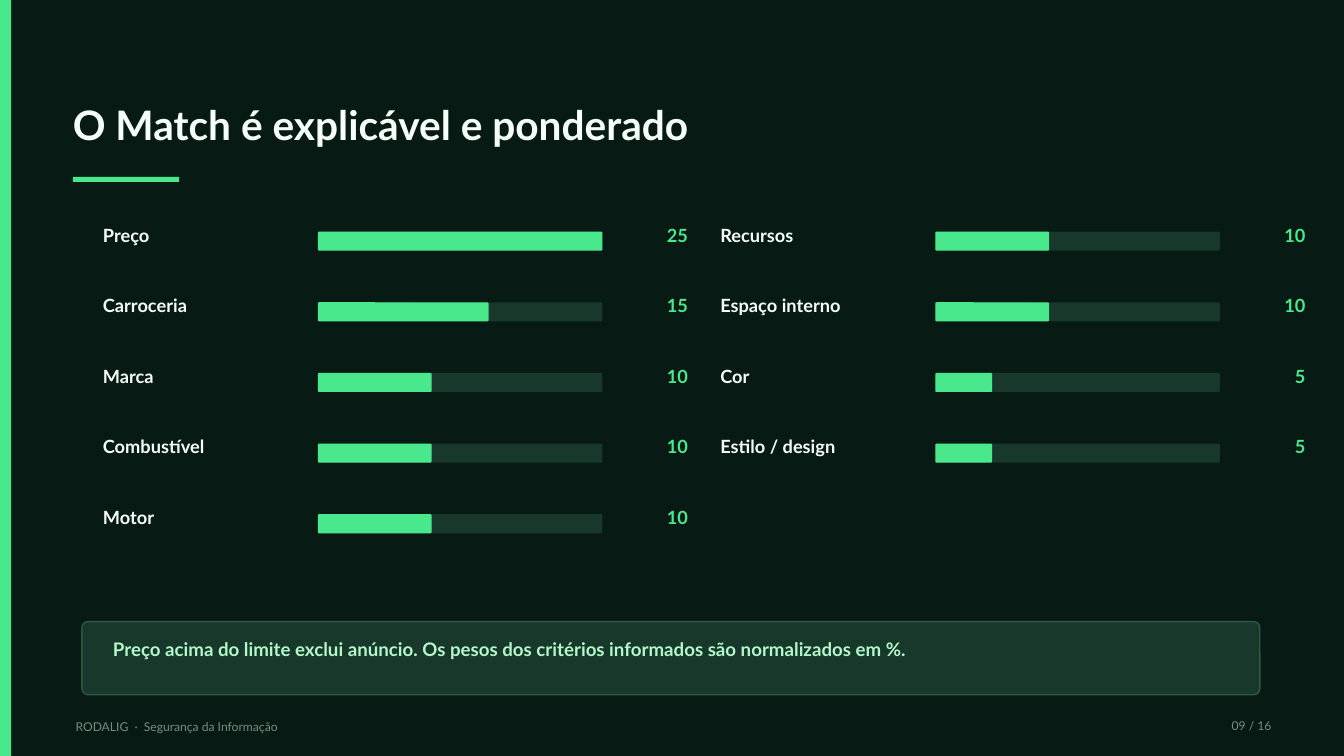
from pptx import Presentation
from pptx.dml.color import RGBColor
from pptx.enum import shapes, text
from pptx.util import Pt

DARK = RGBColor(0x07, 0x1A, 0x14)
GREEN = RGBColor(0x4A, 0xE8, 0x8C)
WHITE = RGBColor(0xF6, 0xFF, 0xF9)
GREY = RGBColor(0x75, 0x8E, 0x80)
TRACK = RGBColor(0x17, 0x38, 0x2B)
EDGE = RGBColor(0x2E, 0x58, 0x42)
MINT = RGBColor(0xB4, 0xF7, 0xC9)

LEFT, RIGHT = text.PP_ALIGN.LEFT, text.PP_ALIGN.RIGHT

COLS = [
    [("Preço", 25), ("Carroceria", 15), ("Marca", 10),
     ("Combustível", 10), ("Motor", 10)],
    [("Recursos", 10), ("Espaço interno", 10), ("Cor", 5),
     ("Estilo / design", 5)],
]
PEAK = 25
COL_STEP, ROW_STEP = 661.5, 75.7
BAR_W, BAR_H = 304.8, 20.4


class Deck:
    font = "Lato"

    def __init__(self, wide, high):
        self.prs = Presentation()
        self.prs.slide_width, self.prs.slide_height = Pt(wide), Pt(high)
        self.slide = self.prs.slides.add_slide(self.prs.slide_layouts[5])
        fill = self.slide.background.fill
        fill.solid()
        fill.fore_color.rgb = DARK

    def style(self, frame, words, size, color, lead, bold, align):
        frame.margin_left = frame.margin_right = 0
        frame.margin_top = frame.margin_bottom = 0
        frame.word_wrap = True
        frame.auto_size = text.MSO_AUTO_SIZE.NONE
        frame.vertical_anchor = text.MSO_ANCHOR.TOP
        frame.text = words
        para = frame.paragraphs[0]
        para.alignment = align
        para.line_spacing = Pt(lead)
        para.space_before = Pt(0)
        font = para.runs[0].font
        font.name, font.size, font.bold = self.font, Pt(size), bold
        font.color.rgb = color

    def title(self, words, x, y, w, h, size, lead):
        box = self.slide.shapes.title
        box.left, box.top, box.width, box.height = map(Pt, (x, y, w, h))
        self.style(box.text_frame, words, size, WHITE, lead, True, LEFT)

    def label(self, words, x, y, w, h, size, color, lead,
              bold=True, align=LEFT):
        box = self.slide.shapes.add_textbox(*map(Pt, (x, y, w, h)))
        self.style(box.text_frame, words, size, color, lead, bold, align)

    def block(self, x, y, w, h, color, curve=0, edge=None):
        kind = shapes.MSO_SHAPE.RECTANGLE
        if curve:
            kind = shapes.MSO_SHAPE.ROUNDED_RECTANGLE
        box = self.slide.shapes.add_shape(kind, *map(Pt, (x, y, w, h)))
        box.shadow.inherit = False
        if curve:
            box.adjustments[0] = curve / min(w, h)
        box.fill.solid()
        box.fill.fore_color.rgb = color
        if edge is None:
            box.line.fill.background()
        else:
            box.line.color.rgb = edge
            box.line.width = Pt(1.5)

    def meter(self, name, value, x, y):
        self.label(name, x, y, 224.6, 32.4, 19.5, WHITE, 23.4)
        for width, color in ((BAR_W, TRACK), (BAR_W * value / PEAK, GREEN)):
            self.block(x + 230.4, y + 8.4, width, BAR_H, color, curve=1.5)
        self.label(str(value), x + 551.4, y, 75.6, 32.4, 19.5, GREEN, 23.4,
                   align=RIGHT)


def main():
    deck = Deck(1440, 810)

    # Side band, title and accent
    deck.block(0, 0, 12, 810, GREEN)
    deck.title("O Match é explicável e ponderado",
               78, 107.3, 1286, 74, 43.5, 52.2)
    deck.block(78, 189.4, 114, 5.6, GREEN)

    # Footer
    deck.label("RODALIG  ·  Segurança da Informação",
               81, 771, 432, 22.5, 13, GREY, 15.7, bold=False)
    deck.label("09 / 16", 1270, 769.8, 92.2, 22.5, 13, GREY, 15.7,
               bold=False, align=RIGHT)

    # Weighted criteria
    for col, items in enumerate(COLS):
        for row, (name, value) in enumerate(items):
            deck.meter(name, value, 110.2 + col * COL_STEP,
                       239.8 + row * ROW_STEP)

    # Note
    deck.block(87.8, 666, 1262, 78.4, TRACK, curve=6.5, edge=EDGE)
    deck.label("Preço acima do limite exclui anúncio. Os pesos dos critérios "
               "informados são normalizados em %.",
               121, 684, 1200, 36, 20, MINT, 23.9)

    deck.prs.save("out.pptx")


if __name__ == "__main__":
    main()
